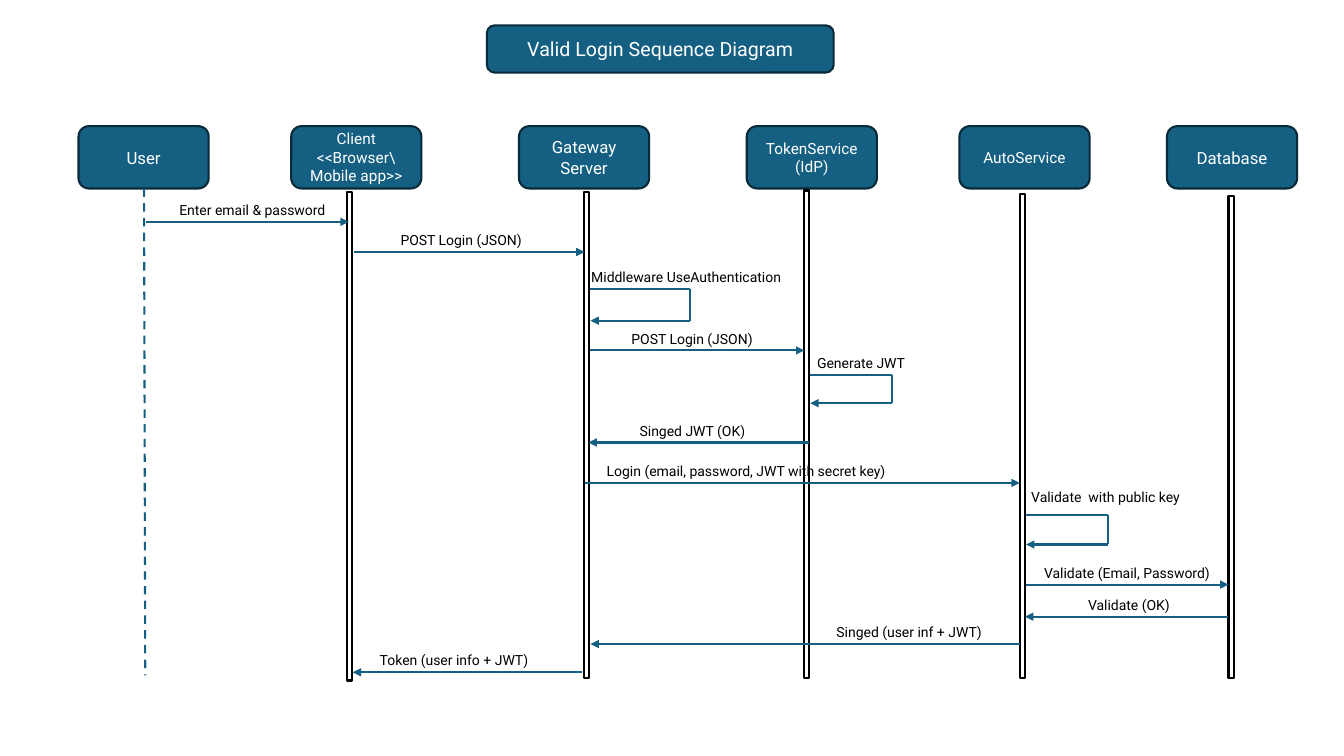
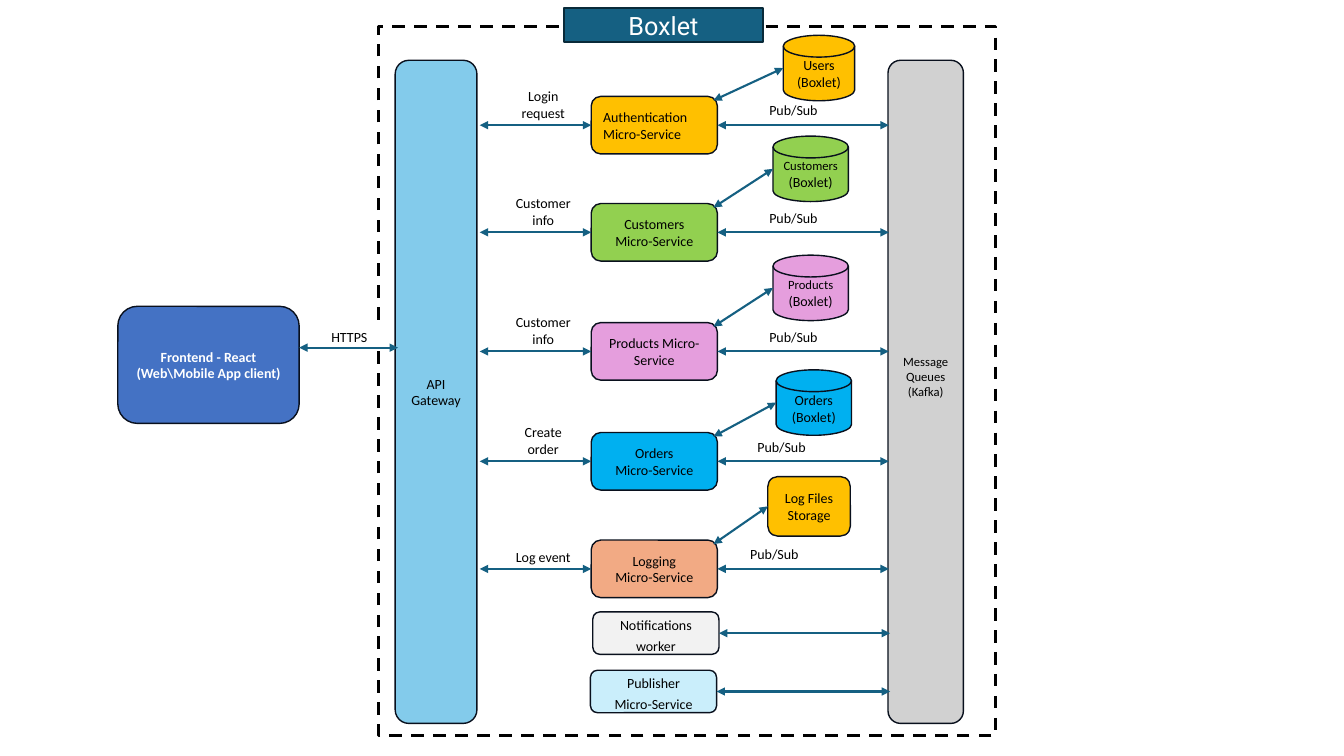
from lxml import etree
from pptx import Presentation
from pptx.dml.color import RGBColor
from pptx.enum.dml import MSO_LINE
from pptx.enum.shapes import MSO_CONNECTOR, MSO_SHAPE
from pptx.enum.text import MSO_ANCHOR, MSO_AUTO_SIZE, PP_ALIGN
from pptx.oxml.ns import qn
from pptx.util import Cm, Pt

RECT, ROUND = MSO_SHAPE.RECTANGLE, MSO_SHAPE.ROUNDED_RECTANGLE
DISK = MSO_SHAPE.FLOWCHART_MAGNETIC_DISK
STRAIGHT, DASH = MSO_CONNECTOR.STRAIGHT, MSO_LINE.DASH
LEFT, CENTER = PP_ALIGN.LEFT, PP_ALIGN.CENTER
MIDDLE, BOTTOM = MSO_ANCHOR.MIDDLE, MSO_ANCHOR.BOTTOM
NO_FIT = MSO_AUTO_SIZE.NONE
TITLE_ONLY = 5
HEAD_FONT, BODY_FONT = "Roboto", "Calibri"
PLATFORM = "Boxlet"

COLORS = {
    "white": "FFFFFF", "black": "000000", "teal": "156082", "navy": "092A39",
    "ink": "09101D", "blue": "4472C4", "sky": "83CBEB", "gray": "D1D1D1",
    "gold": "FFC000", "green": "92D050", "pink": "E59EDD", "cyan": "00B0F0",
    "peach": "F2AA84", "ice": "CAEEFB", "pale": "F2F2F2",
}


def rgb(name):
    return RGBColor.from_string(COLORS[name])


def write(tf, text, size=10, first_size=None, font=BODY_FONT, color="black",
          bold=False, align=CENTER, anchor=MIDDLE, spacing=None, side=0.1, bottom=0):
    tf.word_wrap = True
    tf.auto_size = NO_FIT
    tf.vertical_anchor = anchor
    tf.margin_left = tf.margin_right = Cm(side)
    tf.margin_top, tf.margin_bottom = 0, Cm(bottom)
    for i, line in enumerate(text.split("\n")):
        p = tf.add_paragraph() if i else tf.paragraphs[0]
        p.alignment = align
        if spacing:
            p.line_spacing = spacing
        r = p.add_run()
        r.text = line
        r.font.name = font
        r.font.size = Pt(first_size if first_size and not i else size)
        r.font.bold = bold
        r.font.color.rgb = rgb(color)


def add_box(s, kind, box, text="", fill=None, line="ink", width=1, **fmt):
    sp = s.shapes.add_shape(kind, *map(Cm, box))
    sp.shadow.inherit = False
    if fill:
        sp.fill.solid()
        sp.fill.fore_color.rgb = rgb(fill)
    else:
        sp.fill.background()
    sp.line.color.rgb = rgb(line)
    sp.line.width = Pt(width)
    if text:
        write(sp.text_frame, text, **fmt)
    return sp


def add_label(s, box, text, fill=None, **fmt):
    sp = s.shapes.add_textbox(*map(Cm, box))
    if fill:
        sp.fill.solid()
        sp.fill.fore_color.rgb = rgb(fill)
    write(sp.text_frame, text, **fmt)


def add_line(s, start, end, ends=(), dash=None):
    c = s.shapes.add_connector(STRAIGHT, *map(Cm, start + end))
    c.line.color.rgb = rgb("teal")
    c.line.width = Pt(1.5)
    if dash:
        c.line.dash_style = dash
    sp_pr = c._element.spPr
    for tag in ends:
        etree.SubElement(sp_pr.find(qn("a:ln")), qn(tag), type="triangle")
    etree.SubElement(sp_pr, qn("a:effectLst"))


def add_arrow(s, start, end):
    add_line(s, start, end, ["a:tailEnd"])


def add_two_way(s, start, end):
    add_line(s, start, end, ["a:headEnd", "a:tailEnd"])


def add_title(s, kind, box, text, size):
    add_box(s, kind, box, fill="teal", line="navy", width=1.5)
    sp = s.shapes.title
    sp.left, sp.top, sp.width, sp.height = map(Cm, box)
    write(sp.text_frame, text, size=size, font=HEAD_FONT, color="white")
    s.shapes._spTree.append(sp._element)


def participant(s, box, text, size, bar=None):
    add_box(s, ROUND, box, text, "teal", "navy", 1.5,
            size=size, font=HEAD_FONT, color="white")
    if bar:
        x, top, bottom = bar
        add_box(s, RECT, (x, top, 0.13, bottom - top), line="black", width=1.5)


def caption(s, cx, y, text, gap=0.3):
    w, h = 8, 0.5
    add_label(s, (cx - w / 2, y - gap - h / 2, w, h), text, font=HEAD_FONT)


def message(s, x1, x2, y, cx, text):
    add_arrow(s, (x1, y), (x2, y))
    caption(s, cx, y, text)


def self_call(s, box, cx, text, gap=0.3):
    x, y, w, h = box
    add_line(s, (x, y), (x + w, y))
    add_line(s, (x + w, y), (x + w, y + h))
    add_arrow(s, (x + w, y + h), (x, y + h))
    caption(s, cx, y, text, gap)


def login_sequence(s):
    participants = [
        (1.98, "User", 12, None),
        (7.34, "Client\n<<Browser\\\nMobile app>>", 11, (8.74, 4.85, 17.15)),
        (13.08, "Gateway\nServer", 12, (14.71, 4.85, 17.09)),
        (18.82, "TokenService\n(IdP)", 11, (20.27, 4.8, 17.09)),
        (24.18, "AutoService", 11, (25.7, 4.88, 17.09)),
        (29.41, "Database", 12, (30.96, 4.93, 17.09)),
    ]
    for x, text, size, bar in participants:
        participant(s, (x, 3.18, 3.28, 1.57), text, size, bar)
    add_line(s, (3.63, 4.75), (3.66, 17.02), dash=DASH)

    messages = [
        (3.68, 8.79, 5.59, 6.36, "Enter email & password"),
        (8.92, 14.73, 6.35, 11.62, "POST Login (JSON)"),
        (14.86, 20.27, 8.83, 17.44, "POST Login (JSON)"),
        (20.4, 14.83, 11.15, 17.45, "Singed JWT (OK)"),
        (14.73, 25.7, 12.17, 18.8, "Login (email, password, JWT with secret key)"),
        (25.86, 30.96, 14.73, 28.4, "Validate (Email, Password)"),
        (30.94, 25.83, 15.54, 28.45, "Validate (OK)"),
        (25.7, 14.88, 16.23, 22.91, "Singed (user inf + JWT)"),
        (14.66, 8.89, 16.94, 11.44, "Token (user info + JWT)"),
    ]
    for row in messages:
        message(s, *row)
    self_call(s, (14.88, 7.29, 2.51, 0.79), 17.29, "Middleware UseAuthentication")
    self_call(s, (20.42, 9.45, 2.06, 0.71), 21.7, "Generate JWT")
    self_call(s, (25.86, 12.98, 2.06, 0.74), 27.86, "Validate  with public key", 0.46)
    add_title(s, ROUND, (12.27, 0.64, 8.74, 1.19), "Valid Login Sequence Diagram", 14)


def service(s, box, name, fill, request, pub_cx, **fmt):
    x, y, w, h = box
    mid = y + h / 2
    add_box(s, ROUND, box, name, fill, **fmt)
    add_two_way(s, (12.09, mid), (x, mid))
    add_two_way(s, (x + w, mid), (22.4, mid))
    add_label(s, (12.59, mid - 1.1, 2.2, 1), request, anchor=BOTTOM)
    add_label(s, (pub_cx - 0.88, y + 0.02, 1.75, 0.66), "Pub/Sub")


def storage(s, box, service_box, kind, text, fill, first_size=10):
    x, y, w, h = box
    sx, sy, sw, sh = service_box
    add_box(s, kind, box, text, fill, first_size=first_size)
    add_two_way(s, (sx + sw - 0.1, sy + 0.1), (x, y + h / 2))


def worker(s, box, text, fill):
    x, y, w, h = box
    add_box(s, ROUND, box, text, fill, spacing=1.25)
    add_two_way(s, (x + w, y + h / 2), (22.43, y + h / 2))


def container_map(s):
    frame = add_box(s, RECT, (9.55, 0.66, 15.54, 17.88), line="black",
                    fill="white", width=2.25)
    frame.line.dash_style = DASH
    add_label(s, (7.65, 8.15, 2.31, 0.66), "HTTPS", fill="white")
    add_box(s, ROUND, (2.97, 7.72, 4.57, 2.95),
            "Frontend - React\n(Web\\Mobile App client)", "blue", color="white", bold=True)
    add_box(s, ROUND, (9.96, 1.52, 2.06, 16.71), "API\nGateway", "sky")
    add_box(s, ROUND, (22.38, 1.52, 1.9, 16.71), "Message\nQueues\n(Kafka)", "gray",
            size=9, bottom=0.76)
    add_two_way(s, (7.54, 8.76), (10.03, 8.76))

    services = [
        (2.43, "Authentication\nMicro-Service", "gold", "Login\nrequest", 20,
         (19.74, 0.89, 1.8, 1.65), DISK, f"Users\n({PLATFORM})", 10),
        (5.13, "Customers\nMicro-Service", "green", "Customer\ninfo", 20,
         (19.48, 3.43, 1.9, 1.65), DISK, f"Customers\n({PLATFORM})", 9),
        (8.13, "Products Micro-Service", "pink", "Customer\ninfo", 20,
         (19.48, 6.43, 1.9, 1.65), DISK, f"Products\n({PLATFORM})", 9),
        (10.9, "Orders\nMicro-Service", "cyan", "Create\norder", 19.7,
         (19.56, 9.32, 1.9, 1.65), DISK, f"Orders\n({PLATFORM})", 10),
        (13.61, "Logging\nMicro-Service", "peach", "Log event", 19.52,
         (19.35, 12.01, 2.08, 1.5), ROUND, "Log Files\nStorage", 10),
    ]
    for i, (y, name, fill, request, pub_cx, store, kind, text, size) in enumerate(services):
        box = (14.9, y, 3.18, 1.45)
        fmt = {} if i else {"align": LEFT, "side": 0.23}
        service(s, box, name, fill, request, pub_cx, **fmt)
        storage(s, store, box, kind, text, "gold" if kind == ROUND else fill, size)
    worker(s, (14.94, 15.42, 3.18, 1.07), "Notifications\nworker", "pale")
    worker(s, (14.88, 16.89, 3.18, 1.07), "Publisher\nMicro-Service", "ice")
    add_title(s, RECT, (14.22, 0.2, 5, 0.86), PLATFORM, 18)


def main():
    prs = Presentation()
    prs.slide_width, prs.slide_height = Cm(33.87), Cm(19.05)
    for build in (login_sequence, container_map):
        build(prs.slides.add_slide(prs.slide_layouts[TITLE_ONLY]))
    prs.save("out.pptx")


if __name__ == "__main__":
    main()
